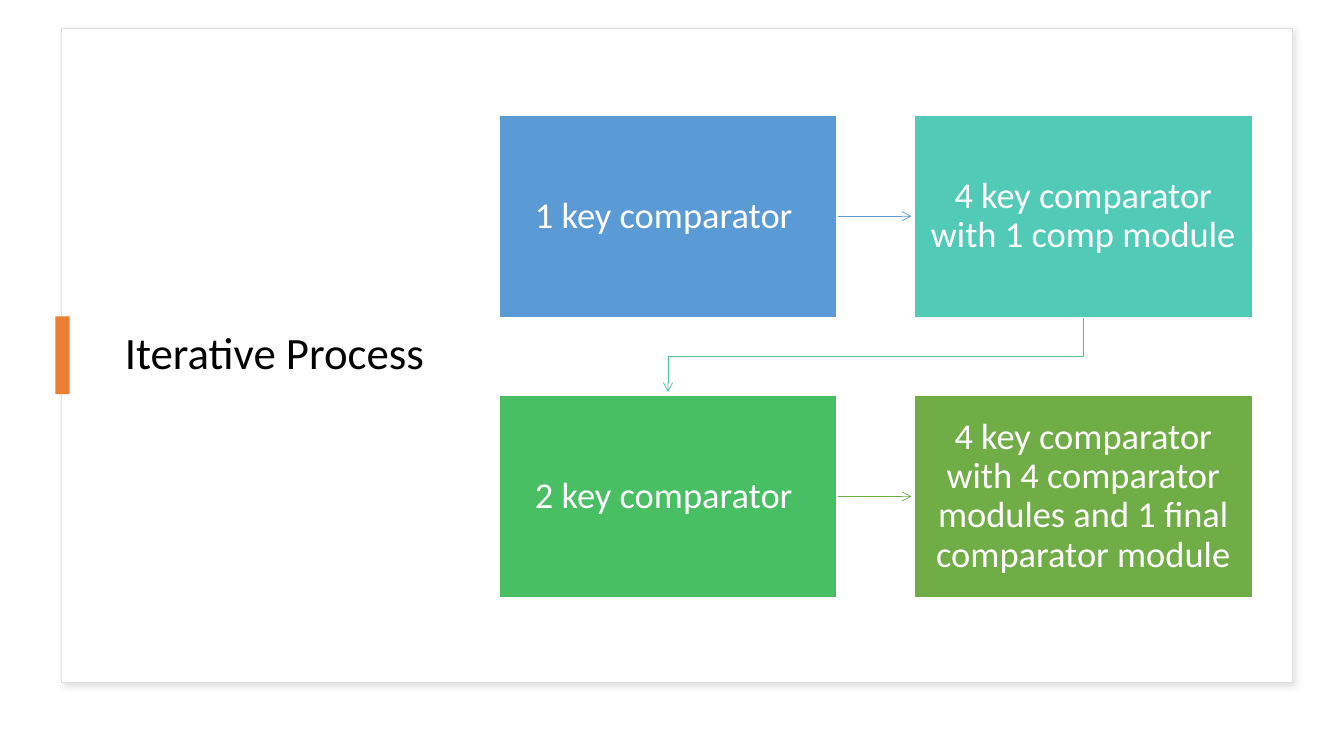
import pptx
import pptx.util
import pptx.dml.color
import pptx.enum.shapes
import pptx.enum.text
import pptx.oxml
import pptx.oxml.ns
from lxml import etree

Inches = pptx.util.Inches
Pt = pptx.util.Pt
qn = pptx.oxml.ns.qn
ALIGN = pptx.enum.text.PP_ALIGN
WHITE = "FFFFFF"


def rgb(value):
    return pptx.dml.color.RGBColor.from_string(value)


class ProcessSlide:
    """Style and drawing methods for a slide with a grid of steps."""

    font = "Calibri"
    left, top = 4.95, 1.14
    step_w, step_h = 3.35, 2.01
    pitch_x, pitch_y = 4.12, 2.78
    gap = 0.03  # free space before an arrow's tip

    def __init__(self, prs):
        self.s = prs.slides.add_slide(prs.slide_layouts[6])

    def cell(self, col, row):
        """Position in inches; fractions of a step are allowed."""
        return self.left + col * self.pitch_x, self.top + row * self.pitch_y

    def rect(self, x, y, w, h, fill, line=None):
        sp = self.s.shapes.add_shape(
            pptx.enum.shapes.MSO_SHAPE.RECTANGLE,
            Inches(x), Inches(y), Inches(w), Inches(h))
        sp.shadow.inherit = False
        sp.fill.solid()
        sp.fill.fore_color.rgb = rgb(fill)
        if line:
            sp.line.color.rgb = rgb(line)
            sp.line.width = Pt(1)
        else:
            sp.line.fill.background()
        return sp

    def soft_shadow(self, sp, color, alpha, blur, dist, angle):
        effects = sp._element.spPr.find(qn("a:effectLst"))
        shadow = etree.SubElement(
            effects, qn("a:outerShdw"), blurRad=str(Pt(blur)),
            dist=str(Pt(dist)), dir=str(angle * 60000), algn="tl", rotWithShape="0")
        clr = etree.SubElement(shadow, qn("a:srgbClr"), val=color)
        etree.SubElement(clr, qn("a:alpha"), val=str(alpha * 1000))

    def text(self, sp, words, size, color, align, inset_x, inset_y):
        tf = sp.text_frame
        tf.word_wrap = True
        tf.vertical_anchor = pptx.enum.text.MSO_ANCHOR.MIDDLE
        tf.margin_left = tf.margin_right = Inches(inset_x)
        tf.margin_top = tf.margin_bottom = Inches(inset_y)
        p = tf.paragraphs[0]
        p.alignment = align
        p.line_spacing = 0.9
        r = p.add_run()
        r.text = words
        r.font.name = self.font
        r.font.size = Pt(size)
        r.font.color.rgb = rgb(color)

    def title(self, words, x, y, w, h):
        sp = self.s.shapes.add_textbox(Inches(x), Inches(y), Inches(w), Inches(h))
        self.text(sp, words, 32, "000000", ALIGN.LEFT, 0.1, 0.05)

    def step(self, col, row, words, fill):
        x, y = self.cell(col, row)
        sp = self.rect(x, y, self.step_w, self.step_h, fill, WHITE)
        self.text(sp, words, 26, WHITE, ALIGN.CENTER, 0.16, 0.17)

    def arrow_line(self, sp, color):
        sp.line.color.rgb = rgb(color)
        sp.line.width = Pt(0.5)
        ln = sp._element.spPr.find(qn("a:ln"))
        etree.SubElement(ln, qn("a:tailEnd"), type="arrow")

    def arrow_across(self, row, color):
        x, y = self.cell(0, row)
        y += self.step_h / 2
        cn = self.s.shapes.add_connector(
            pptx.enum.shapes.MSO_CONNECTOR.STRAIGHT,
            Inches(x + self.step_w), Inches(y),
            Inches(x + self.pitch_x - self.gap), Inches(y))
        self.arrow_line(cn, color)
        etree.SubElement(cn._element.spPr, qn("a:effectLst"))

    def arrow_back(self, color):
        """Elbow from the last step of the first row to the next row."""
        x1, y1 = self.cell(1, 0)
        x2, y2 = self.cell(0, 1)
        x1, x2 = x1 + self.step_w / 2, x2 + self.step_w / 2
        y1, y2 = y1 + self.step_h, y2 - self.gap
        mid = (y1 + y2 + self.gap) / 2
        fb = self.s.shapes.build_freeform(Inches(x1), Inches(y1))
        corners = [(x1, mid), (x2, mid), (x2, y2)]
        fb.add_line_segments([(Inches(x), Inches(y)) for x, y in corners], close=False)
        sp = fb.convert_to_shape()
        sp.shadow.inherit = False
        sp.fill.background()
        self.arrow_line(sp, color)


def main():
    prs = pptx.Presentation()
    prs.slide_width, prs.slide_height = Inches(13.33), Inches(7.5)
    page = ProcessSlide(prs)

    # Card, title and accent bar
    card = page.rect(0.61, 0.28, 12.21, 6.49, WHITE, "DEDEDE")
    page.soft_shadow(card, "C5C3C3", 50, 4, 3, 45)
    page.title("Iterative Process", 1.14, 0.55, 3.27, 5.95)
    page.rect(0.55, 3.14, 0.14, 0.77, "ED7D31")

    # Arrows between the steps
    page.arrow_across(0, "5B9BD5")
    page.arrow_back("4DC58D")
    page.arrow_across(1, "70AD47")

    # Steps, two to a row
    steps = [
        ("1 key comparator ", "5B9BD5"),
        ("4 key comparator with 1 comp module", "52CAB8"),
        ("2 key comparator ", "49BF64"),
        ("4 key comparator with 4 comparator modules and 1 final comparator module",
         "70AD47"),
    ]
    for i, (words, fill) in enumerate(steps):
        page.step(i % 2, i // 2, words, fill)

    prs.save("out.pptx")


if __name__ == "__main__":
    main()
